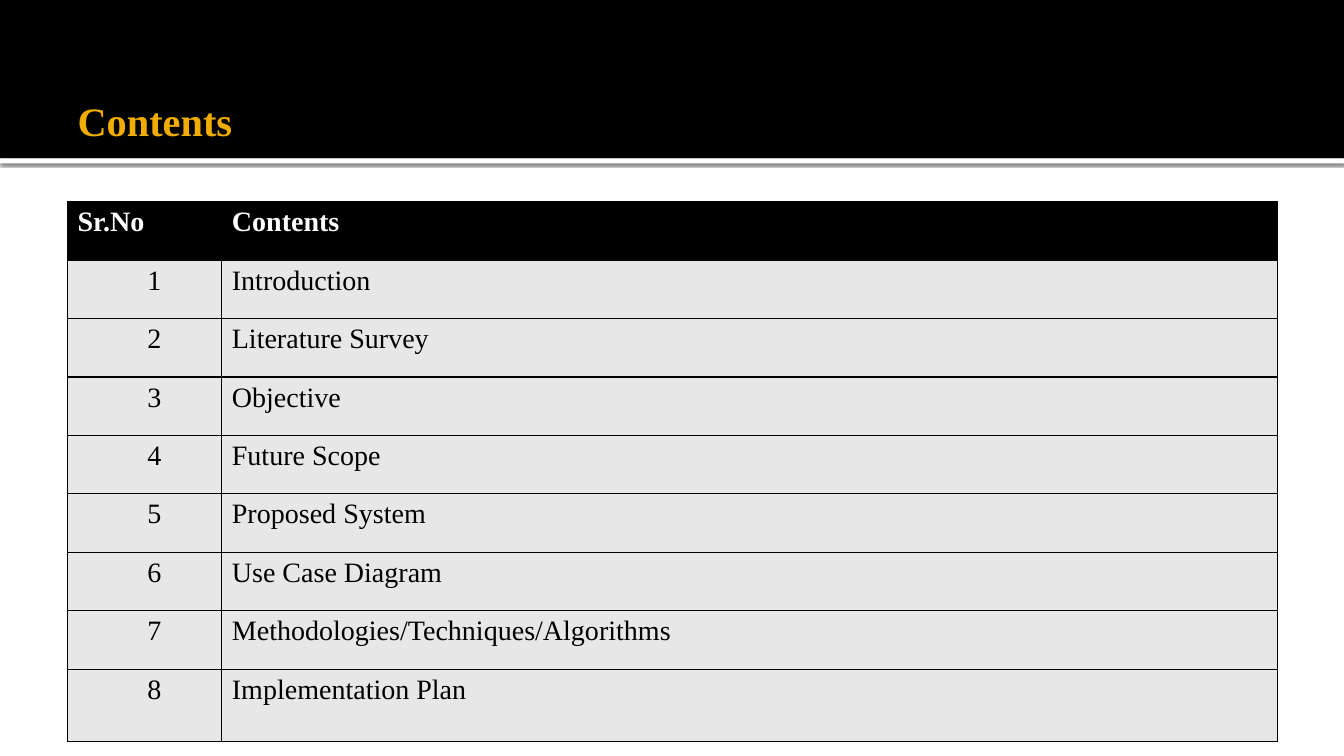
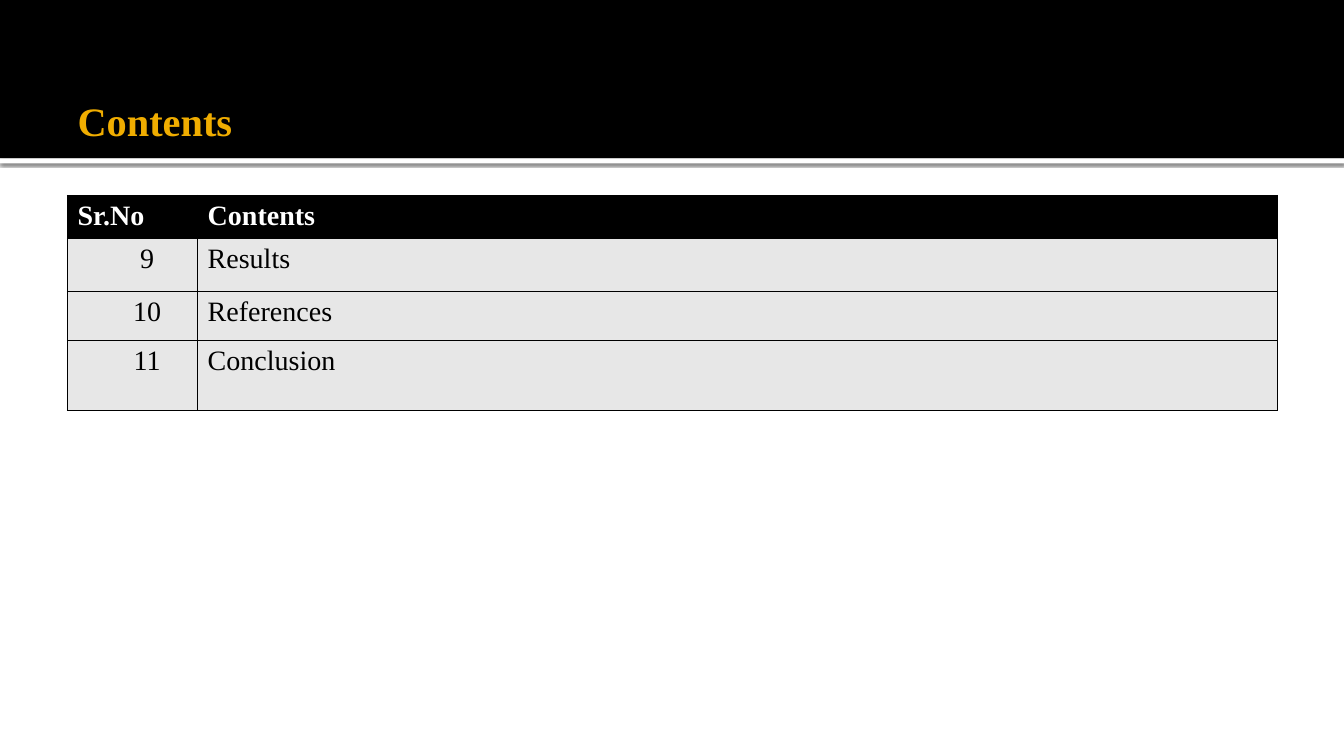
"""Build the two table-of-contents slides."""
from lxml import etree
from pptx import Presentation
from pptx import util as u
from pptx.dml.color import RGBColor
from pptx.enum import shapes, text
from pptx.oxml import ns, parse_xml

COLORS = {"band": "000000", "title": "F0AD00", "rule": "FFFFFF", "heading": "FFFFFF",
          "body": "000000", "cell": "E7E7E7", "border": "000000"}


class Deck:
    font = "Times New Roman"
    left, width = 0.67, 12

    def __init__(self):
        self.presentation = Presentation()
        self.presentation.slide_width = u.Inches(13.33)
        self.presentation.slide_height = u.Inches(7.5)
        self.slide = None

    def color(self, name):
        return RGBColor.from_string(COLORS[name])

    def add_run(self, paragraph, words, size, color, bold):
        run = paragraph.add_run()
        run.text = words
        run.font.name = self.font
        run.font.size = u.Pt(size)
        run.font.bold = bold
        run.font.color.rgb = self.color(color)

    def add_band(self, top, height, color):
        shape = self.slide.shapes.add_shape(
            shapes.MSO_SHAPE.RECTANGLE, 0, u.Inches(top),
            self.presentation.slide_width, u.Inches(height))
        shape.shadow.inherit = False
        shape.fill.solid()
        shape.fill.fore_color.rgb = self.color(color)
        shape.line.fill.background()
        self.slide.shapes.title.element.addprevious(shape.element)
        return shape

    def add_shadow(self, shape):
        effects = shape.element.spPr.find(ns.qn("a:effectLst"))
        effects.append(parse_xml(
            f'<a:outerShdw {ns.nsdecls("a")} blurRad="{u.Pt(2.5)}" dist="{u.Pt(0.8)}" '
            f'dir="5400000" rotWithShape="0"><a:srgbClr val="{COLORS["band"]}">'
            '<a:alpha val="60000"/></a:srgbClr></a:outerShdw>'))

    def add_slide(self, title):
        self.slide = self.presentation.slides.add_slide(self.presentation.slide_layouts[5])
        self.add_shadow(self.add_band(1.57, 0.05, "rule"))
        self.add_band(0, 1.57, "band")
        shape = self.slide.shapes.title
        shape.left, shape.top = u.Inches(self.left), u.Inches(0.17)
        shape.width, shape.height = u.Inches(self.width), u.Inches(1.37)
        frame = shape.text_frame
        frame.auto_size = text.MSO_AUTO_SIZE.NONE
        frame.vertical_anchor = text.MSO_ANCHOR.BOTTOM
        frame.margin_left, frame.margin_bottom = u.Inches(0.1), u.Inches(0.11)
        paragraph = frame.paragraphs[0]
        paragraph.alignment = text.PP_ALIGN.LEFT
        self.add_run(paragraph, title, 28.8, "title", True)

    def add_borders(self, cell):
        properties = cell._tc.get_or_add_tcPr()
        for side in ("lnL", "lnR", "lnT", "lnB"):
            line = etree.SubElement(properties, ns.qn(f"a:{side}"), w=str(u.Pt(1)))
            fill = etree.SubElement(line, ns.qn("a:solidFill"))
            etree.SubElement(fill, ns.qn("a:srgbClr"), val=COLORS["border"])

    def add_cell(self, cell, words, heading):
        self.add_borders(cell)
        cell.fill.solid()
        cell.fill.fore_color.rgb = self.color("band" if heading else "cell")
        paragraph = cell.text_frame.paragraphs[0]
        self.add_run(paragraph, words, 20, "heading" if heading else "body", heading)
        return paragraph

    def add_contents(self, top, number_width, number_margin, heights, first, topics):
        frame = self.slide.shapes.add_table(
            len(heights), 2, u.Inches(self.left), u.Inches(top),
            u.Inches(self.width), u.Inches(sum(heights)))
        table = frame.table
        table.horz_banding = False
        table.columns[0].width = u.Inches(number_width)
        table.columns[1].width = u.Inches(self.width - number_width)
        for row, height in zip(table.rows, heights):
            row.height = u.Inches(height)
        for column, words in enumerate(("Sr.No", "Contents")):
            self.add_cell(table.cell(0, column), words, True)
        for row, topic in enumerate(topics, 1):
            number = table.cell(row, 0)
            paragraph = self.add_cell(number, str(first + row - 1), False)
            paragraph.alignment = text.PP_ALIGN.CENTER
            number.margin_left = u.Inches(number_margin)
            self.add_cell(table.cell(row, 1), topic, False)


def main():
    deck = Deck()
    deck.add_slide("Contents")
    deck.add_contents(2, 1.53, 0.29, [0.58] * 8 + [0.72], 1, [
        "Introduction", "Literature Survey", "Objective", "Future Scope",
        "Proposed System", "Use Case Diagram", "Methodologies/Techniques/Algorithms",
        "Implementation Plan"])
    deck.add_slide("Contents")
    deck.add_contents(1.94, 1.29, 0.39, [0.43, 0.52, 0.49, 0.69], 9,
                      ["Results", "References", "Conclusion"])
    deck.presentation.save("out.pptx")


if __name__ == "__main__":
    main()
